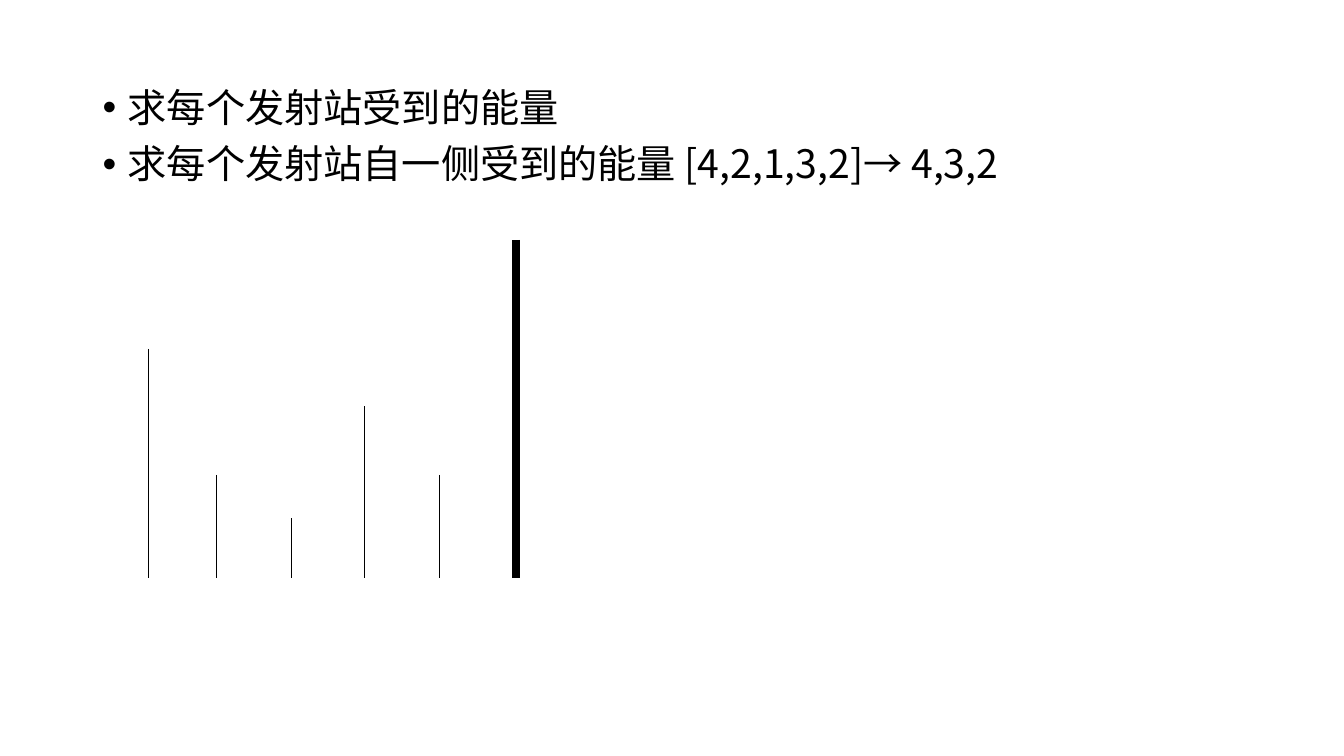
from lxml.etree import SubElement
from pptx import Presentation
from pptx.dml.color import RGBColor
from pptx.enum.shapes import MSO_CONNECTOR as Connector
from pptx.oxml.ns import qn
from pptx.util import Inches, Pt

COLORS = {"ink": "000000"}
FONT = "Noto Sans CJK SC"
BULLETS = [
    "求每个发射站受到的能量",
    "求每个发射站自一侧受到的能量 [4,2,1,3,2]→ 4,3,2",
]
BODY = (0.92, 0.83, 11.5, 5.92)
INDENT = 0.25
BASELINE = 5.73
# x, top, line width in points
STATIONS = [
    (1.47, 3.46, 0.5),
    (2.15, 4.71, 0.5),
    (2.89, 5.14, 0.5),
    (3.61, 4.03, 0.5),
    (4.36, 4.71, 0.5),
    (5.12, 2.38, 6),
]
PARA_FORMAT = {"line_spacing": 0.9, "space_before": Pt(10)}
FONT_FORMAT = {"name": FONT, "size": Pt(28)}


def set_format(target, values):
    for name, value in values.items():
        setattr(target, name, value)


def add_bullet(para, text):
    set_format(para, PARA_FORMAT)
    properties = para._p.get_or_add_pPr()
    properties.set("marL", str(Inches(INDENT)))
    properties.set("indent", str(-Inches(INDENT)))
    SubElement(properties, qn("a:buFont"), typeface="Arial")
    SubElement(properties, qn("a:buChar"), char="•")
    span = para.add_run()
    span.text = text
    set_format(span.font, FONT_FORMAT)
    span.font.color.rgb = RGBColor.from_string(COLORS["ink"])
    SubElement(span._r.get_or_add_rPr(), qn("a:ea"), typeface=FONT)


def add_body(page):
    box = page.shapes.add_textbox(*map(Inches, BODY))
    frame = box.text_frame
    frame.word_wrap = True
    for index, text in enumerate(BULLETS):
        para = frame.add_paragraph() if index else frame.paragraphs[0]
        add_bullet(para, text)


def add_station(page, x, top, width):
    ends = map(Inches, (x, top, x, BASELINE))
    station = page.shapes.add_connector(Connector.STRAIGHT, *ends)
    station.line.width = Pt(width)
    station.line.color.rgb = RGBColor.from_string(COLORS["ink"])
    SubElement(station._element.spPr, qn("a:effectLst"))


def main():
    deck = Presentation()
    deck.slide_width, deck.slide_height = Inches(13.33), Inches(7.5)
    page = deck.slides.add_slide(deck.slide_layouts[6])
    add_body(page)
    for station in STATIONS:
        add_station(page, *station)
    deck.save("out.pptx")


if __name__ == "__main__":
    main()
